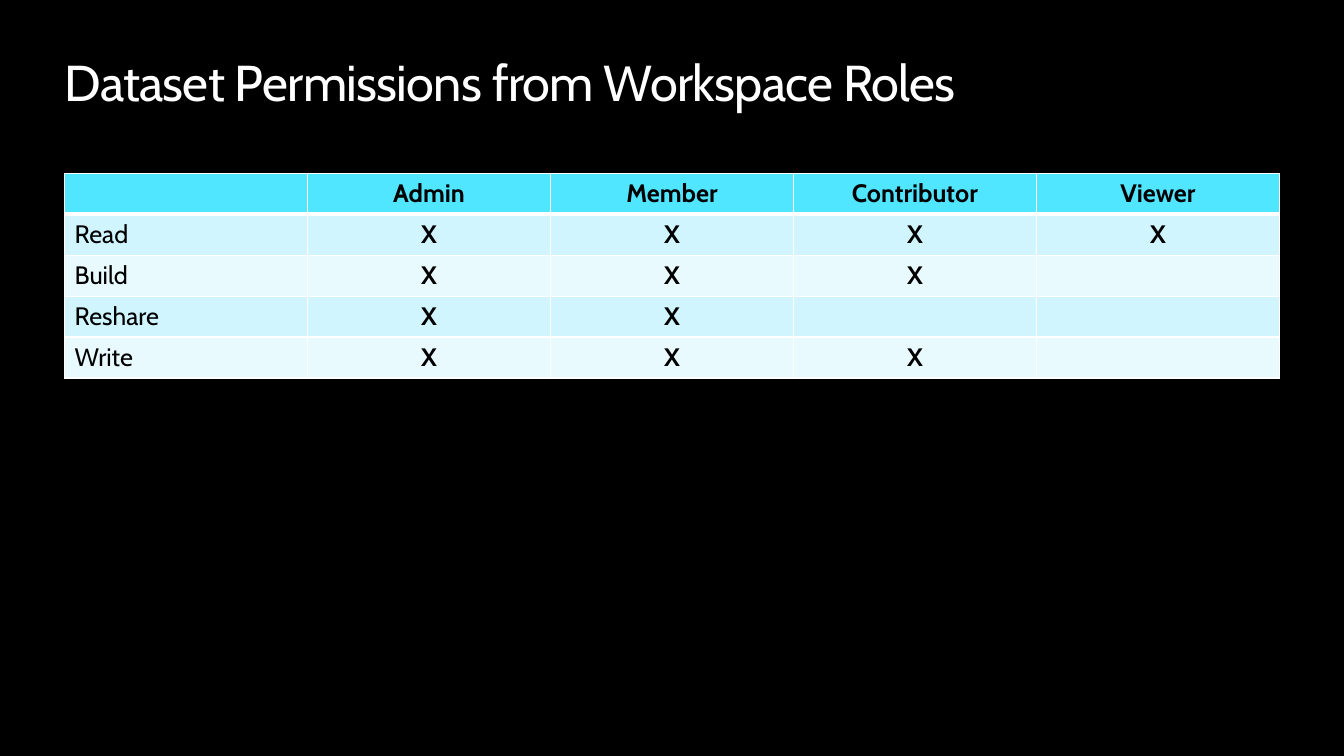
from dataclasses import dataclass

from pptx import Presentation
from pptx.dml.color import RGBColor as RGB
from pptx.enum.text import MSO_ANCHOR as ANCHOR, PP_ALIGN as ALIGN
from pptx.oxml import parse_xml
from pptx.oxml.ns import nsdecls, qn
from pptx.util import Inches, Pt

# Content
TITLE = "Dataset Permissions from Workspace Roles"
ROLES = ["Admin", "Member", "Contributor", "Viewer"]
PERMISSIONS = {
    "Read": ["Admin", "Member", "Contributor", "Viewer"],
    "Build": ["Admin", "Member", "Contributor"],
    "Reshare": ["Admin", "Member"],
    "Write": ["Admin", "Member", "Contributor"],
}


@dataclass(frozen=True)
class Theme:
    font: str = "Cabin"
    title_size: int = 36
    cell_size: int = 18
    background: str = "000000"
    title: str = "FFFFFF"
    text: str = "000000"
    border: str = "FFFFFF"
    header: str = "50E6FF"
    bands: tuple = ("D0F5FF", "E9FAFF")


THEME = Theme()
LEFT, WIDTH = 0.64, 12.05
TITLE_TOP, TITLE_HEIGHT = 0.5, 0.61
TABLE_TOP, TABLE_HEIGHT = 1.72, 2.03


def set_font(p, size, color, bold=False):
    p.font.name = THEME.font
    p.font.size = Pt(size)
    p.font.bold = bold
    p.font.color.rgb = RGB.from_string(color)


def set_borders(cell, top, bottom):
    tc_pr = cell._tc.get_or_add_tcPr()
    for side, width in (("L", 1), ("R", 1), ("T", top), ("B", bottom)):
        tc_pr.append(parse_xml(
            f'<a:ln{side} {nsdecls("a")} w="{Pt(width)}"><a:solidFill>'
            f'<a:srgbClr val="{THEME.border}"/></a:solidFill></a:ln{side}>'))


prs = Presentation()
prs.slide_width, prs.slide_height = Inches(13.33), Inches(7.5)
s = prs.slides.add_slide(prs.slide_layouts[5])
s.background.fill.solid()
s.background.fill.fore_color.rgb = RGB.from_string(THEME.background)

# Title
title = s.shapes.title
title.left, title.top = Inches(LEFT), Inches(TITLE_TOP)
title.width, title.height = Inches(WIDTH), Inches(TITLE_HEIGHT)
tf = title.text_frame
tf.margin_left = tf.margin_right = tf.margin_top = tf.margin_bottom = 0
tf.vertical_anchor = ANCHOR.MIDDLE
tf.word_wrap = True
tf.text = TITLE
p = tf.paragraphs[0]
p.alignment = ALIGN.LEFT
set_font(p, THEME.title_size, THEME.title)
p._p.pPr.find(qn("a:defRPr")).set("spc", "-50")

# Permission matrix
rows = [["", *ROLES]]
for permission, holders in PERMISSIONS.items():
    rows.append([permission, *("X" if role in holders else "" for role in ROLES)])

table = s.shapes.add_table(
    len(rows), len(rows[0]), Inches(LEFT), Inches(TABLE_TOP),
    Inches(WIDTH), Inches(TABLE_HEIGHT)).table
for r, row in enumerate(rows):
    header = r == 0
    fill = THEME.header if header else THEME.bands[(r - 1) % 2]
    for c, text in enumerate(row):
        cell = table.cell(r, c)
        set_borders(cell, top=3 if r == 1 else 1, bottom=3 if header else 1)
        cell.fill.solid()
        cell.fill.fore_color.rgb = RGB.from_string(fill)
        cell.text = text
        p = cell.text_frame.paragraphs[0]
        p.alignment = ALIGN.CENTER if c else ALIGN.LEFT
        set_font(p, THEME.cell_size, THEME.text, bold=header or c > 0)

prs.save("out.pptx")
